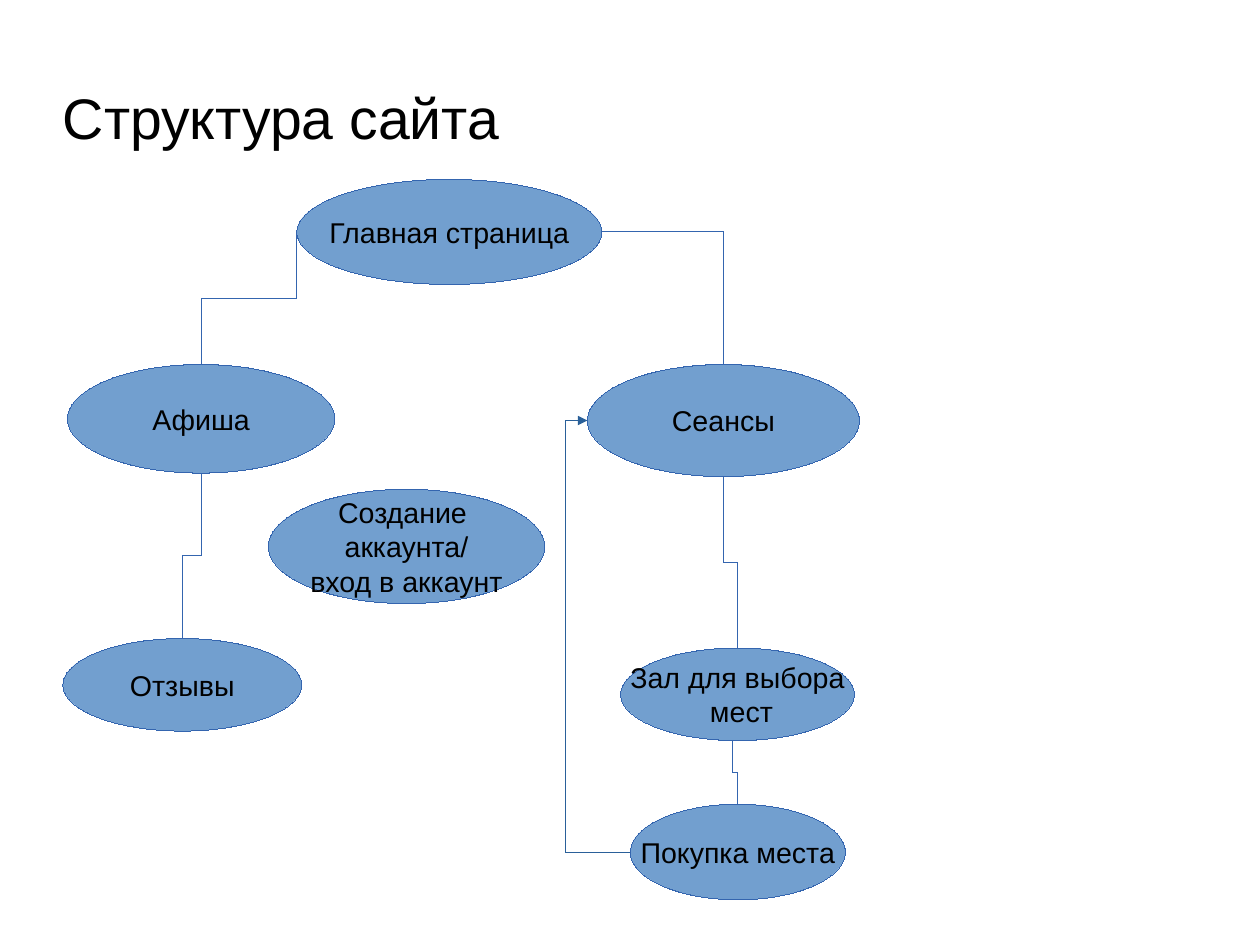
from dataclasses import dataclass

from lxml import etree
from pptx import Presentation
from pptx.dml.color import RGBColor
from pptx.dml.line import LineFormat
from pptx.enum.shapes import MSO_CONNECTOR, MSO_SHAPE
from pptx.enum.text import MSO_ANCHOR, PP_ALIGN
from pptx.oxml.ns import qn
from pptx.shapes.connector import Connector
from pptx.slide import Slide
from pptx.text.text import TextFrame
from pptx.util import Pt

ELBOW = MSO_CONNECTOR.ELBOW
ELLIPSE = MSO_SHAPE.OVAL
MIDDLE = MSO_ANCHOR.MIDDLE
LEFT, CENTER = PP_ALIGN.LEFT, PP_ALIGN.CENTER

FONT = "Arial"
COLORS = {
    "text": "000000",
    "page_fill": "729FCF",
    "outline": "3465AF",
    "return_arrow": "2A6099",
}


@dataclass(frozen=True)
class Page:
    lines: tuple[str, ...]
    left: float
    top: float
    width: float
    height: float

    @property
    def right(self) -> float:
        return self.left + self.width

    @property
    def bottom(self) -> float:
        return self.top + self.height

    @property
    def center_x(self) -> float:
        return self.left + self.width / 2

    @property
    def center_y(self) -> float:
        return self.top + self.height / 2


@dataclass(frozen=True)
class Link:
    start_x: float
    start_y: float
    end_x: float
    end_y: float


HOME = Page(("Главная страница",), 187, 113, 192.2, 66.2)
POSTER = Page(("Афиша",), 42.5, 229.6, 168.5, 68.4)
SESSIONS = Page(("Сеансы",), 370, 229.6, 171.4, 70.6)
ACCOUNT = Page(("Создание ", "аккаунта/", "вход в аккаунт"), 169, 308.2, 174.2, 72)
REVIEWS = Page(("Отзывы",), 39.6, 402.2, 150.5, 58.3)
HALL = Page(("Зал для выбора", " мест"), 391, 408.2, 147.2, 58.3)
PURCHASE = Page(("Покупка места",), 397.1, 506.6, 135.4, 60.2)
PAGES = (HOME, POSTER, SESSIONS, ACCOUNT, REVIEWS, HALL, PURCHASE)

VERTICAL_LINKS = (
    Link(HOME.left, HOME.center_y, POSTER.center_x, POSTER.top),
    Link(POSTER.center_x, POSTER.bottom, REVIEWS.center_x, REVIEWS.top),
    Link(SESSIONS.center_x, SESSIONS.bottom, HALL.center_x, HALL.top),
    Link(HALL.center_x - 3.2, HALL.bottom, PURCHASE.center_x, PURCHASE.top),
)


def color(name: str) -> RGBColor:
    return RGBColor.from_string(COLORS[name])


def set_hairline(line: LineFormat, color_name: str) -> None:
    """Write the zero width out, so that the theme's width does not apply."""
    line.color.rgb = color(color_name)
    line._get_or_add_ln().set("w", "0")


def write_lines(frame: TextFrame, lines: tuple[str, ...], size: float,
                alignment: PP_ALIGN) -> None:
    frame.vertical_anchor = MIDDLE
    for index, line in enumerate(lines):
        paragraph = frame.paragraphs[0] if index == 0 else frame.add_paragraph()
        paragraph.alignment = alignment
        run = paragraph.add_run()
        run.text = line
        run.font.name = FONT
        run.font.size = Pt(size)
        run.font.color.rgb = color("text")


def add_title(slide: Slide, text: str) -> None:
    title = slide.shapes.add_textbox(Pt(39.6), Pt(45), Pt(566.6), Pt(56.9))
    frame = title.text_frame
    frame.word_wrap = True
    frame.margin_left = frame.margin_right = Pt(0)
    frame.margin_top = frame.margin_bottom = Pt(0)
    write_lines(frame, (text,), 36, LEFT)


def add_page(slide: Slide, page: Page) -> None:
    shape = slide.shapes.add_shape(
        ELLIPSE, Pt(page.left), Pt(page.top), Pt(page.width), Pt(page.height))
    shape.shadow.inherit = False
    shape.fill.solid()
    shape.fill.fore_color.rgb = color("page_fill")
    set_hairline(shape.line, "outline")
    shape.text_frame.word_wrap = False
    write_lines(shape.text_frame, page.lines, 18, CENTER)


def add_elbow(slide: Slide, link: Link, line_color: str = "outline",
              rotation: int = 0) -> Connector:
    """Add an elbow between the link's ends, then turn it by whole degrees."""
    connector = slide.shapes.add_connector(
        ELBOW, Pt(link.start_x), Pt(link.start_y), Pt(link.end_x), Pt(link.end_y))
    set_hairline(connector.line, line_color)
    properties = connector._element.spPr
    etree.SubElement(properties, qn("a:effectLst"))
    if rotation:
        properties.find(qn("a:xfrm")).set("rot", str(rotation * 60000))
    return connector


def add_vertical_link(slide: Slide, link: Link) -> None:
    """Leave and arrive vertically: a sideways elbow turned about its centre."""
    middle_x = (link.start_x + link.end_x) / 2
    middle_y = (link.start_y + link.end_y) / 2
    half_length = (link.end_y - link.start_y) / 2
    half_shift = abs(link.end_x - link.start_x) / 2
    goes_left = link.end_x < link.start_x
    reach = half_length if goes_left else -half_length
    sideways = Link(middle_x - reach, middle_y - half_shift,
                    middle_x + reach, middle_y + half_shift)
    add_elbow(slide, sideways, rotation=90 if goes_left else 270)


def add_corner_link(slide: Slide, link: Link) -> None:
    connector = add_elbow(slide, link)
    connector._element.spPr.find(qn("a:prstGeom")).set("prst", "bentConnector2")


def add_return_arrow(slide: Slide, link: Link) -> None:
    """Run from the link's end back to its start, passing left of both."""
    connector = add_elbow(slide, link, "return_arrow", rotation=180)
    geometry = connector._element.spPr.find(qn("a:prstGeom"))
    adjustments = geometry.find(qn("a:avLst"))
    if adjustments is None:
        adjustments = etree.SubElement(geometry, qn("a:avLst"))
    etree.SubElement(adjustments, qn("a:gd"), name="adj1", fmla="val 152700")
    outline = connector.line._get_or_add_ln()
    etree.SubElement(outline, qn("a:tailEnd"), type="triangle")


def main() -> None:
    presentation = Presentation()
    presentation.slide_width = Pt(793.75)
    presentation.slide_height = Pt(595.25)
    slide = presentation.slides.add_slide(presentation.slide_layouts[6])

    add_title(slide, "Структура сайта")
    for page in PAGES:
        add_page(slide, page)
    for link in VERTICAL_LINKS:
        add_vertical_link(slide, link)
    add_corner_link(
        slide, Link(HOME.right, HOME.center_y, SESSIONS.center_x, SESSIONS.top))
    add_return_arrow(
        slide, Link(SESSIONS.left, SESSIONS.center_y, PURCHASE.left, PURCHASE.center_y))

    presentation.save("out.pptx")


if __name__ == "__main__":
    main()
